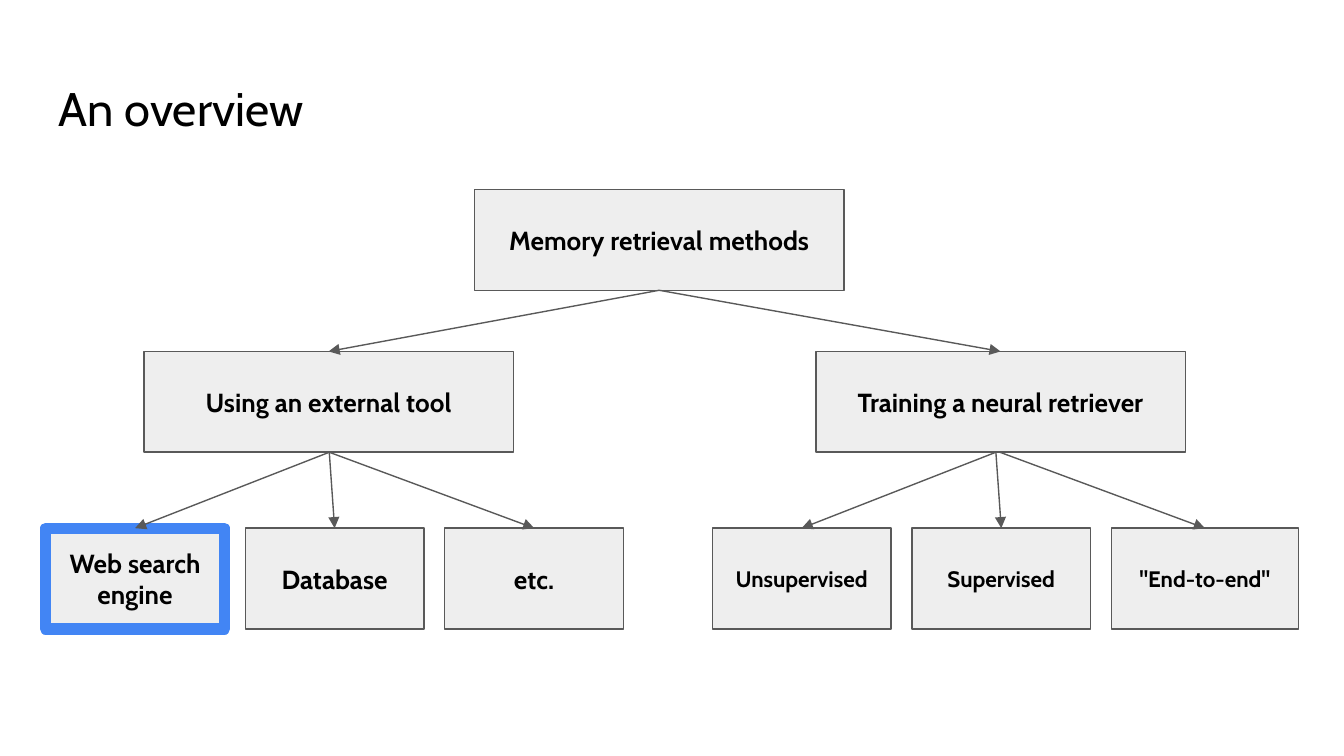
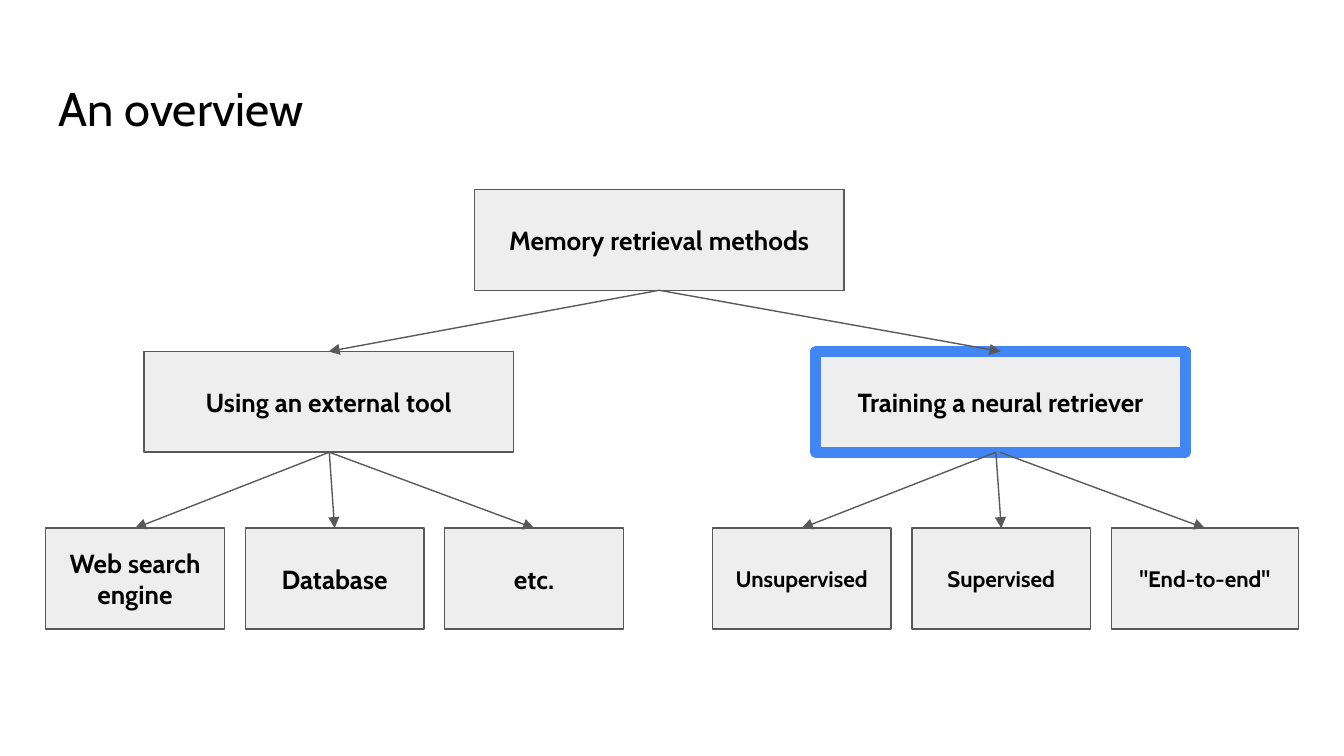
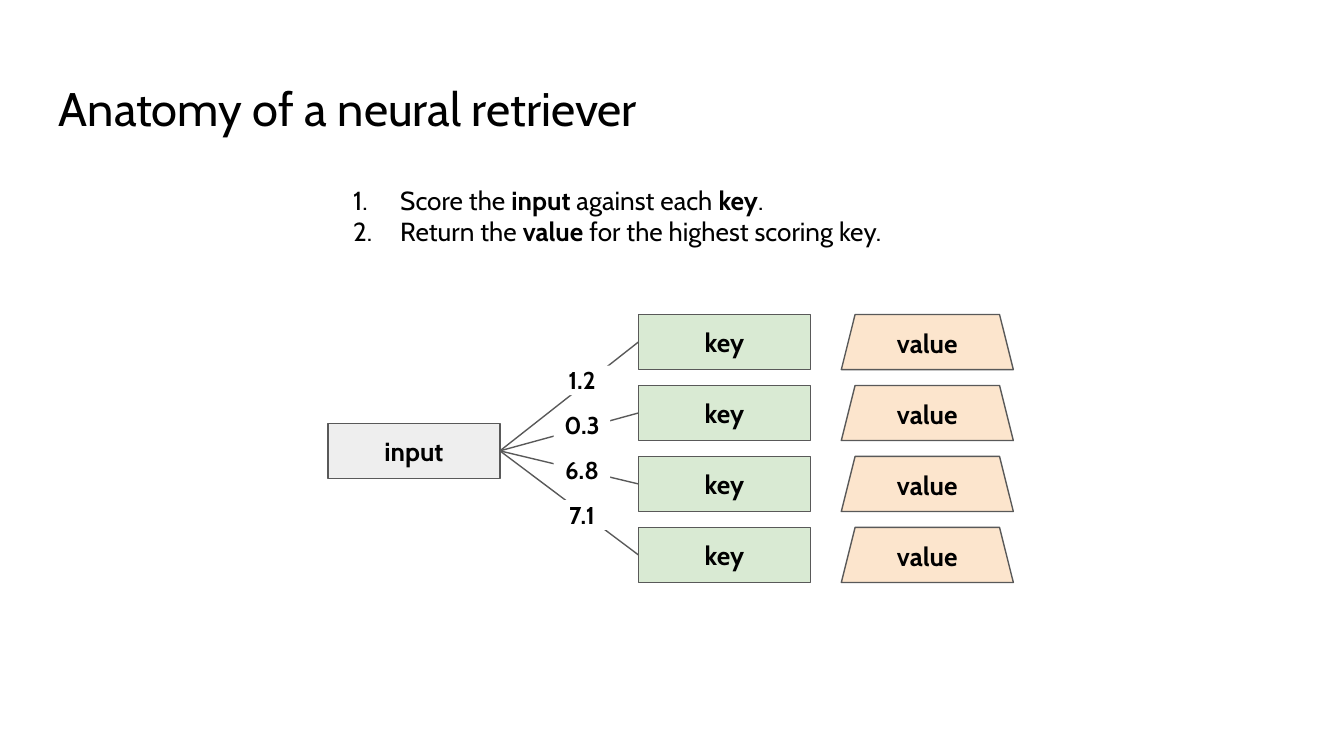
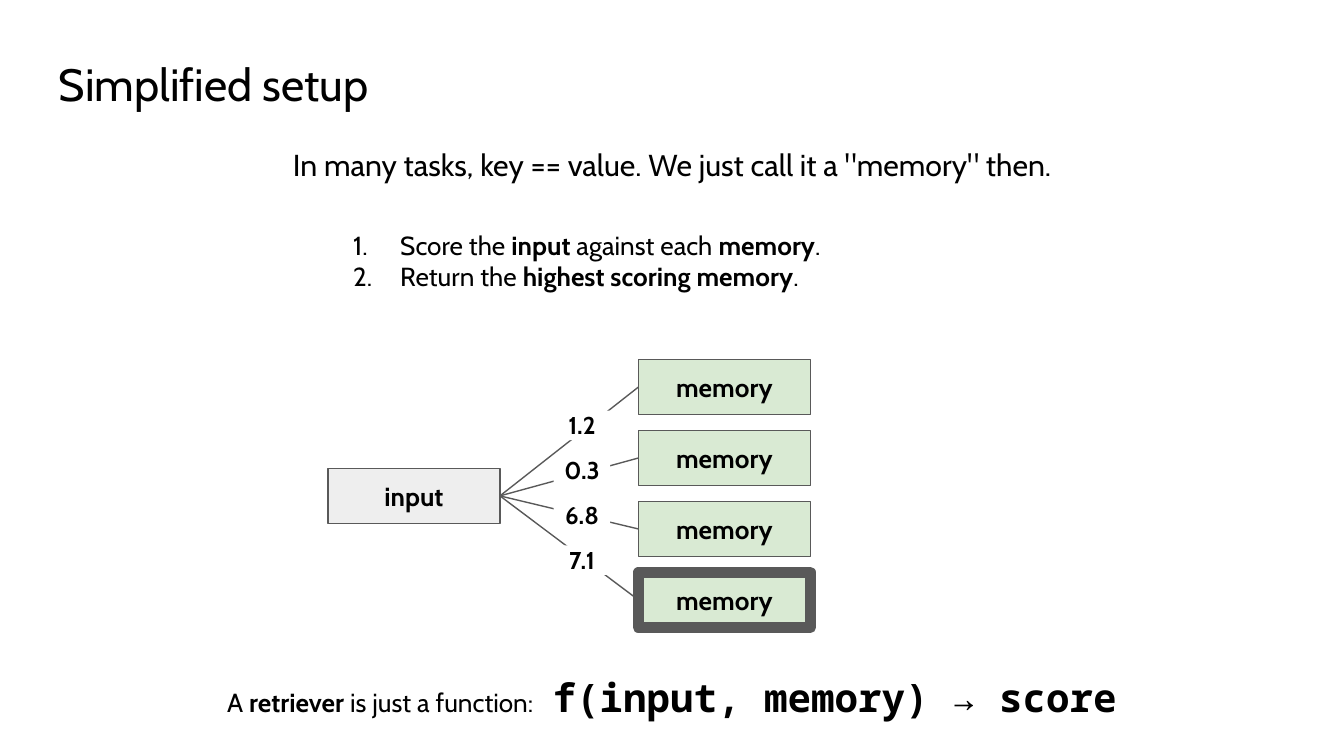
from dataclasses import dataclass

from lxml import etree
from pptx import Presentation
from pptx import util as u
from pptx.dml.color import RGBColor
from pptx.enum import shapes, text
from pptx.oxml.ns import qn


@dataclass(frozen=True)
class Theme:
    # Colours
    ink: str = "000000"
    edge: str = "595959"
    accent: str = "4285F4"
    grey: str = "EEEEEE"
    green: str = "D9EAD3"
    orange: str = "FCE5CD"
    paper: str = "FFFFFF"
    # Fonts, type sizes and line widths in points
    font: str = "Cabin"
    mono: str = "Noto Sans Mono"
    title: float = 25.2
    short_title: float = 24.2
    lead: float = 16.2
    body: float = 14
    small: float = 12
    score: float = 13
    formula: float = 21
    thin: float = 0.75
    thick: float = 6


T = Theme()
COLUMNS = 100                   # square grid cells across the slide
MARGIN, CONTENT = 3.4, 93.2     # left edge and width of the content area
CENTER = text.PP_ALIGN.CENTER
RECT = shapes.MSO_SHAPE.RECTANGLE
TRAPEZOID = shapes.MSO_SHAPE.TRAPEZOID


def sub(parent, tag, **attrs):
    return etree.SubElement(parent, qn(tag), **attrs)


class Deck:
    """Holds the theme and the current slide; lengths are grid cells."""

    def __init__(self, theme):
        self.t = theme
        self.prs = Presentation()
        self.prs.slide_width = u.Inches(10)
        self.prs.slide_height = u.Inches(5.625)
        self.cell = self.prs.slide_width / COLUMNS
        self.s = None

    def grid(self, *cells):
        return [round(c * self.cell) for c in cells]

    def slide(self):
        self.s = self.prs.slides.add_slide(self.prs.slide_layouts[6])

    def run(self, p, txt, size, bold=False, font=None, spacing=0):
        r = p.add_run()
        r.text = txt
        r.font.size, r.font.bold = u.Pt(size), bold
        r.font.name = font or self.t.font
        r.font.color.rgb = RGBColor.from_string(self.t.ink)
        if spacing:
            r._r.get_or_add_rPr().set("spc", str(spacing * 100))

    def frame(self, sp, inset=1, grow=False, anchor=text.MSO_ANCHOR.TOP):
        tf = sp.text_frame
        tf.word_wrap = True
        tf.vertical_anchor = anchor
        tf.auto_size = (text.MSO_AUTO_SIZE.SHAPE_TO_FIT_TEXT if grow
                        else text.MSO_AUTO_SIZE.NONE)
        pad, = self.grid(inset)
        tf.margin_left = tf.margin_right = tf.margin_top = tf.margin_bottom = pad
        return tf

    def textbox(self, x, y, w, h, grow=False):
        return self.frame(self.s.shapes.add_textbox(*self.grid(x, y, w, h)), grow=grow)

    def heading(self, txt, y=4.9, size=None, align=None):
        p = self.textbox(MARGIN, y, CONTENT, 6.3).paragraphs[0]
        p.alignment = align
        self.run(p, txt, size or self.t.title)

    def shape(self, x, y, w, h, fill, kind=RECT):
        sp = self.s.shapes.add_shape(kind, *self.grid(x, y, w, h))
        sp.shadow.inherit = False
        sp.fill.solid()
        sp.fill.fore_color.rgb = RGBColor.from_string(fill)
        return sp

    def box(self, x, y, w, h, txt, fill=None, size=None, edge=None, width=None, kind=RECT):
        sp = self.shape(x, y, w, h, fill or self.t.grey, kind)
        sp.line.color.rgb = RGBColor.from_string(edge or self.t.edge)
        sp.line.width = u.Pt(width or self.t.thin)
        sub(sp._element.spPr.find(qn("a:ln")), "a:round")
        p = self.frame(sp, anchor=text.MSO_ANCHOR.MIDDLE).paragraphs[0]
        p.alignment = CENTER
        self.run(p, txt, size or self.t.body, bold=True)

    def chip(self, x, y, w, h, txt):
        sp = self.shape(x, y, w, h, self.t.paper)
        sp.line.fill.background()
        p = self.frame(sp, inset=0, grow=True).paragraphs[0]
        p.alignment = CENTER
        self.run(p, txt, self.t.score, bold=True)

    def line(self, x1, y1, x2, y2, arrow=False):
        c = self.s.shapes.add_connector(shapes.MSO_CONNECTOR.STRAIGHT,
                                        *self.grid(x1, y1, x2, y2))
        c.line.color.rgb = RGBColor.from_string(self.t.edge)
        c.line.width = u.Pt(self.t.thin)
        sp_pr = c._element.spPr
        if arrow:
            sub(sp_pr.find(qn("a:ln")), "a:tailEnd", type="triangle")
        sub(sp_pr, "a:effectLst")

    def steps(self, y, items):
        """Numbered list; each item alternates plain and bold runs."""
        tf = self.textbox(23.8, y, 59.4, 6.7, grow=True)
        left, hang = self.grid(5, -3.5)
        for i, parts in enumerate(items):
            p = tf.paragraphs[0] if i == 0 else tf.add_paragraph()
            p_pr = p._p.get_or_add_pPr()
            p_pr.set("marL", str(left))
            p_pr.set("indent", str(hang))
            sub(sub(p_pr, "a:buClr"), "a:srgbClr", val=self.t.ink)
            sub(p_pr, "a:buFont", typeface=self.t.font)
            sub(p_pr, "a:buAutoNum", type="arabicPeriod")
            for j, part in enumerate(parts):
                self.run(p, part, self.t.body, bold=j % 2 == 1)


# Method tree: branch (label, left, first leaf, leaf size, leaves);
# leaf (label, width, start of its arrow)
BRANCHES = [
    ("Using an external tool", 10.7, 3.4, T.body,
     [("Web search engine", 13.3, 24.5), ("Database", 13.3, 24.5), ("etc.", 13.3, 24.5)]),
    ("Training a neural retriever", 60.7, 53, T.small,
     [("Unsupervised", 13.3, 74.1), ("Supervised", 13.3, 74.1),
      ('"End-to-end"', 13.9, 74.4)]),
]


def overview(d, chosen):
    root_x, root_y, branch_y, leaf_y = 35.3, 14.1, 26.15, 39.3
    wide, high, leaf_step = 27.5, 7.5, 14.85

    def node(x, y, w, label, size=T.body):
        mark = {"edge": T.accent, "width": T.thick} if label == chosen else {}
        d.box(x, y, w, high, label, size=size, **mark)

    d.slide()
    d.heading("An overview")
    node(root_x, root_y, wide, "Memory retrieval methods")
    for label, x, leaf_x, size, leaves in BRANCHES:
        node(x, branch_y, wide, label)
        d.line(root_x + wide / 2, root_y + high, x + wide / 2, branch_y, arrow=True)
        for i, (leaf, w, start) in enumerate(leaves):
            left = leaf_x + i * leaf_step
            node(left, leaf_y, w, leaf, size)
            d.line(start, branch_y + high, left + w / 2, leaf_y, arrow=True)


def scoring(d, top, label, value=None, best=None):
    """Input fanned out to scored keys, with optional values beside them."""
    w, h, step = 12.8, 4.1, 5.28
    input_x, key_x, value_x, score_x = 24.4, 47.5, 62.6, 41.2
    input_y = top + 8.1
    scores = ["1.2", "0.3", "6.8", "7.1"]
    d.box(input_x, input_y, w, h, "input")
    for i in range(len(scores)):
        y = top + i * step
        d.box(key_x, y, w, h, label, T.green, width=T.thick if i == best else T.thin)
        if value:
            d.box(value_x, y, w, h, value, T.orange, kind=TRAPEZOID)
        d.line(input_x + w, input_y + h / 2, key_x, y + h / 2)
    for i, score in enumerate(scores):
        d.chip(score_x, top + 3.8 + i * 3.34, 4.2, 2.2, score)


def anatomy(d):
    d.slide()
    d.heading("Anatomy of a neural retriever")
    scoring(d, 23.4, "key", value="value")
    d.steps(12.7, [("Score the ", "input", " against each ", "key", "."),
                   ("Return the ", "value", " for the highest scoring key.")])


def simplified(d):
    d.slide()
    d.heading("Simplified setup", y=3.2, size=T.short_title)
    d.heading('In many tasks, key == value. We just call it a "memory" then.',
              y=9.9, size=T.lead, align=CENTER)
    scoring(d, 26.75, "memory", best=3)
    d.steps(16.05, [("Score the ", "input", " against each ", "memory", "."),
                    ("Return the ", "highest scoring memory", ".")])
    # Closing formula, set apart by a widened space
    p = d.textbox(MARGIN, 49.1, CONTENT, 5.6, grow=True).paragraphs[0]
    p.alignment = CENTER
    d.run(p, "A ", T.body)
    d.run(p, "retriever", T.body, bold=True)
    d.run(p, " is just a function:", T.body)
    d.run(p, " ", T.body, spacing=7)
    d.run(p, "f(input, memory) → score", T.formula, bold=True, font=T.mono)


def main():
    d = Deck(T)
    overview(d, chosen="Web search engine")
    overview(d, chosen="Training a neural retriever")
    anatomy(d)
    simplified(d)
    d.prs.save("out.pptx")


if __name__ == "__main__":
    main()
